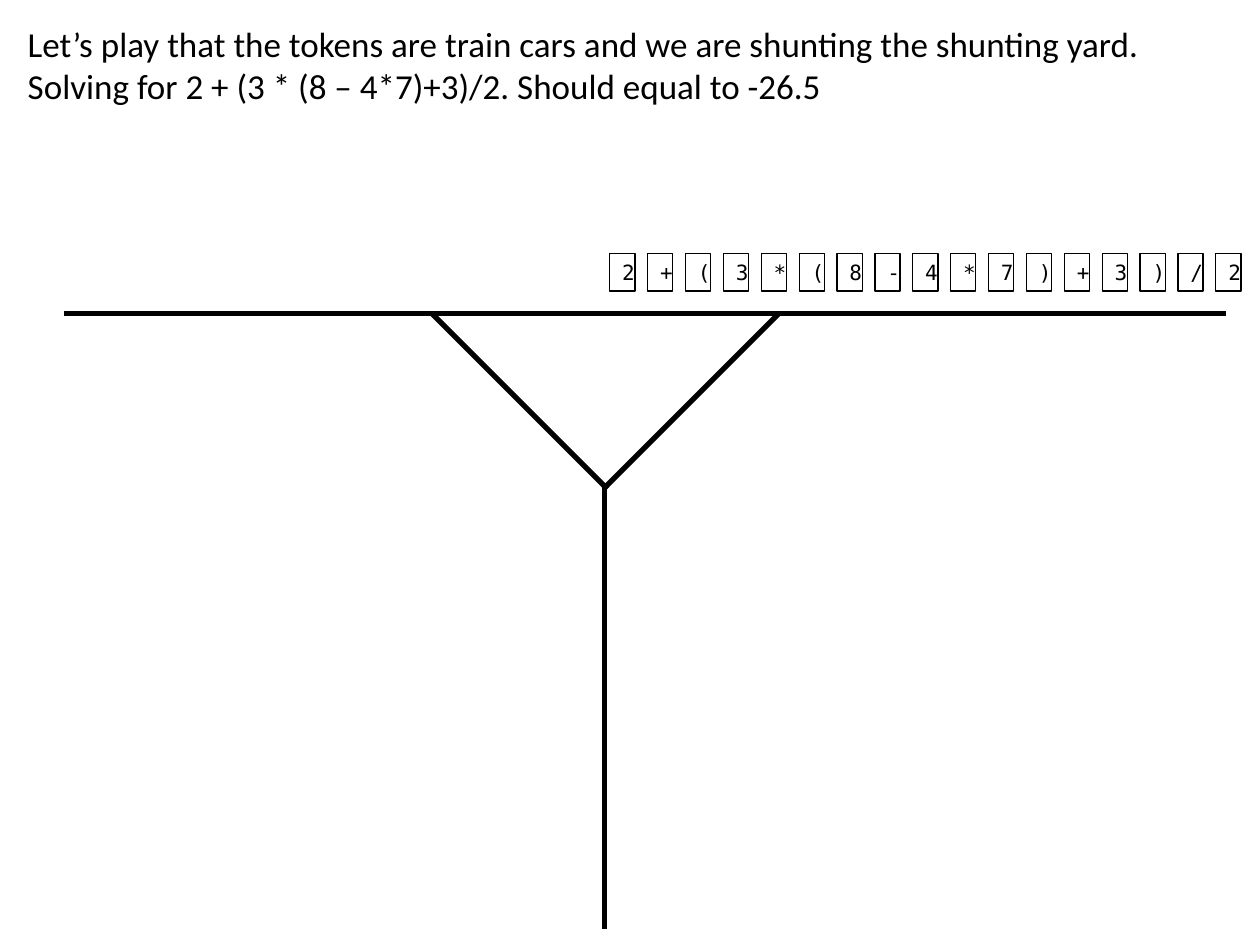
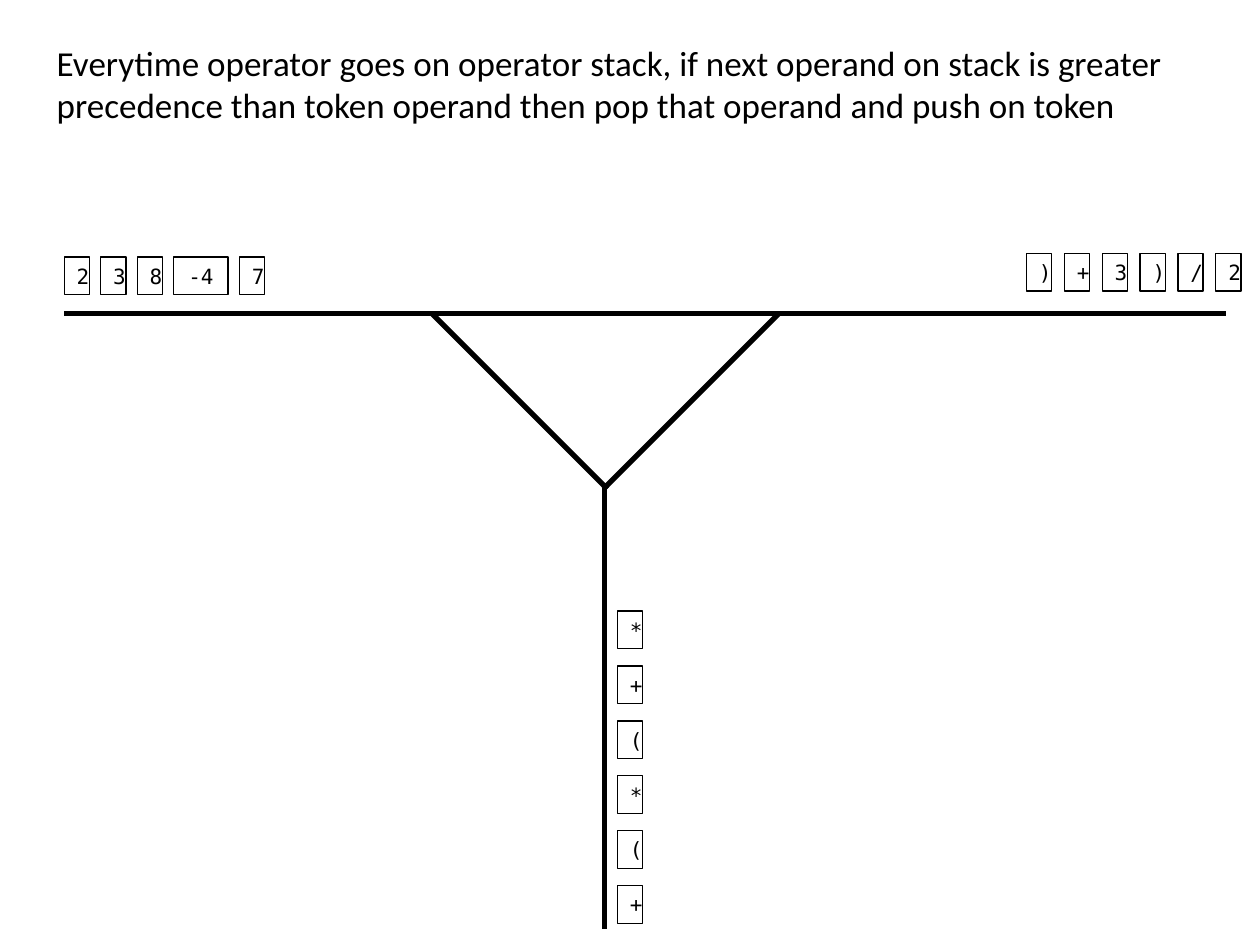
from lxml.etree import SubElement
from pptx import Presentation
from pptx.dml.color import RGBColor
from pptx.enum.shapes import MSO_CONNECTOR, MSO_SHAPE
from pptx.enum.text import MSO_ANCHOR, MSO_AUTO_SIZE, PP_ALIGN
from pptx.oxml.ns import qn
from pptx.util import Inches, Pt

BLACK = RGBColor(0x00, 0x00, 0x00)
TITLE_FONT = "Calibri"
TOKEN_FONT = "DejaVu Sans Mono"

SLIDE_WIDTH, SLIDE_HEIGHT = Inches(10), Inches(7.5)
COLUMN = SLIDE_WIDTH / 100
ROW = SLIDE_HEIGHT / 75

CAR_WIDTH, CAR_HEIGHT = 2, 3
WIDE_CAR_WIDTH = 4.3

INPUT_TOKENS = ["2", "+", "(", "3", "*", "(", "8", "-", "4", "*", "7",
                ")", "+", "3", ")", "/", "2"]
INPUT_FIRST, INPUT_LAST, INPUT_TOP = 48.4, 96.5, 20.1
INPUT_PITCH = (INPUT_LAST - INPUT_FIRST) / (len(INPUT_TOKENS) - 1)

OUTPUT_LEFT, OUTPUT_TOP, OUTPUT_GAP = 5.1, 20.4, 0.9
STACK_LEFT, STACK_BOTTOM, STACK_PITCH = 49, 70.3, 4.36

# Start column, start row, end column, end row
TRACKS = [
    (97.3, 24.9, 5.1, 24.9),
    (34.3, 24.9, 48.2, 38.8),
    (61.8, 24.9, 47.9, 38.8),
    (48, 38.3, 48, 73.7),
]


def box(left, top, width, height):
    """Turn grid columns and rows into slide lengths."""
    return (round(left * COLUMN), round(top * ROW),
            round(width * COLUMN), round(height * ROW))


def write(text_frame, text, font_name, size, alignment):
    text_frame.word_wrap = True
    text_frame.vertical_anchor = MSO_ANCHOR.TOP
    paragraph = text_frame.paragraphs[0]
    paragraph.alignment = alignment
    run = paragraph.add_run()
    run.text = text
    run.font.name = font_name
    run.font.size = Pt(size)
    run.font.color.rgb = BLACK


def add_title(slide, text, left, top, width):
    title = slide.shapes.title
    title.left, title.top, title.width, title.height = box(left, top, width, 7.7)
    title.text_frame.auto_size = MSO_AUTO_SIZE.NONE
    write(title.text_frame, text, TITLE_FONT, 20, PP_ALIGN.LEFT)


def add_tracks(slide):
    for track in TRACKS:
        line = slide.shapes.add_connector(MSO_CONNECTOR.STRAIGHT, *box(*track))
        line.line.color.rgb = BLACK
        line.line.width = Pt(3)
        SubElement(line._element.spPr, qn("a:effectLst"))


def add_car(slide, token, left, top, width=CAR_WIDTH):
    car = slide.shapes.add_shape(MSO_SHAPE.RECTANGLE,
                                 *box(left, top, width, CAR_HEIGHT))
    car.shadow.inherit = False
    car.fill.background()
    car.line.color.rgb = BLACK
    car.line.width = Pt(0.75)
    car.text_frame.auto_size = MSO_AUTO_SIZE.SHAPE_TO_FIT_TEXT
    write(car.text_frame, token, TOKEN_FONT, 12, PP_ALIGN.CENTER)


def add_input(slide, consumed=0):
    """Draw the waiting cars, leaving the places of consumed ones empty."""
    for index, token in enumerate(INPUT_TOKENS):
        if index >= consumed:
            add_car(slide, token, INPUT_FIRST + index * INPUT_PITCH, INPUT_TOP)


def add_output(slide, tokens):
    left = OUTPUT_LEFT
    for token in tokens:
        width = CAR_WIDTH if len(token) == 1 else WIDE_CAR_WIDTH
        add_car(slide, token, left, OUTPUT_TOP, width)
        left += width + OUTPUT_GAP


def add_operator_stack(slide, tokens):
    """Stack the operators upwards, the first one at the bottom."""
    for level, token in enumerate(tokens):
        add_car(slide, token, STACK_LEFT, STACK_BOTTOM - level * STACK_PITCH)


def add_yard_slide(presentation, title, left, top, width):
    slide = presentation.slides.add_slide(
        presentation.slide_layouts.get_by_name("Title Only"))
    add_title(slide, title, left, top, width)
    add_tracks(slide)
    return slide


def main():
    presentation = Presentation()
    presentation.slide_width = SLIDE_WIDTH
    presentation.slide_height = SLIDE_HEIGHT

    start = add_yard_slide(
        presentation,
        "Let’s play that the tokens are train cars and we are shunting the "
        "shunting yard. Solving for 2 + (3 * (8 – 4*7)+3)/2. "
        "Should equal to -26.5",
        1.2, 1.3, 96.3)
    add_input(start)

    precedence = add_yard_slide(
        presentation,
        "Everytime operator goes on operator stack, if next operand on stack "
        "is greater precedence than token operand then pop that operand and "
        "push on token",
        3.5, 2.8, 92.9)
    add_output(precedence, ["2", "3", "8", "-4", "7"])
    add_operator_stack(precedence, ["+", "(", "*", "(", "+", "*"])
    add_input(precedence, consumed=11)

    presentation.save("out.pptx")


if __name__ == "__main__":
    main()
